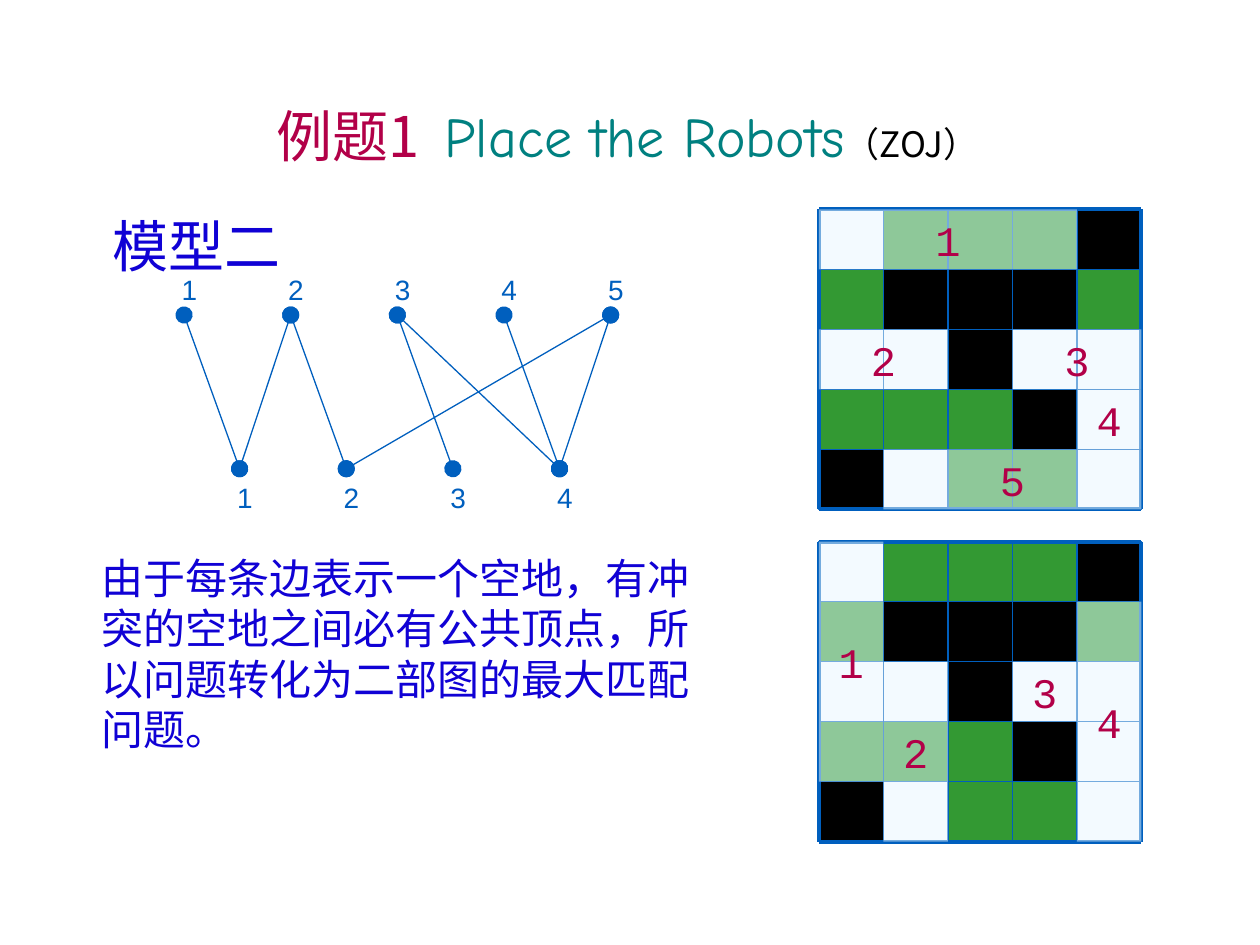
import pptx
import pptx.util
import pptx.dml.color
import pptx.enum.shapes
import pptx.enum.text
import pptx.oxml.ns
from lxml import etree
from pptx.util import Cm

ALIGN = pptx.enum.text.PP_ALIGN
ANCHOR = pptx.enum.text.MSO_ANCHOR
qn = pptx.oxml.ns.qn


def color(value):
    return pptx.dml.color.RGBColor.from_string(value)


class Painter:
    """Holds the style and the current slide."""

    CJK, LATIN, MONO, COMIC = "Noto Sans CJK SC", "Arial", "Courier New", "Comic Neue"
    INK, LINE, ACCENT, TEAL = "1001D5", "005FBE", "B20048", "008080"
    TERRAIN = {"G": "339933", "B": "000000", ".": None}
    VEIL = "E9F7FF"

    def __init__(self, slide):
        self.slide = slide
        self.shapes = slide.shapes

    def start_group(self):
        self.shapes = self.slide.shapes.add_group_shape().shapes

    def fill_text(self, shape, spans, align=ALIGN.LEFT, anchor=ANCHOR.MIDDLE):
        """Fill a shape with one paragraph of (text, size, font, colour) spans."""
        frame = shape.text_frame
        frame.word_wrap = True
        frame.vertical_anchor = anchor
        para = frame.paragraphs[0]
        para.alignment = align
        for text, size, font, tint in spans:
            span = para.add_run()
            span.text = text
            span.font.size = pptx.util.Pt(size)
            span.font.name = font
            span.font.color.rgb = color(tint)
            etree.SubElement(span.font._element, qn("a:ea"), typeface=font)
        return para

    def text(self, left, top, width, height, spans, **layout):
        box = self.shapes.add_textbox(Cm(left), Cm(top), Cm(width), Cm(height))
        return self.fill_text(box, spans, **layout)

    def rectangle(self, left, top, width, height, fill=None, line=None):
        shape = self.shapes.add_shape(
            pptx.enum.shapes.MSO_SHAPE.RECTANGLE, Cm(left), Cm(top), Cm(width), Cm(height))
        shape.shadow.inherit = False
        if fill:
            shape.fill.solid()
            shape.fill.fore_color.rgb = color(fill)
        else:
            shape.fill.background()
        if line:
            shape.line.color.rgb = color(line)
            shape.line.width = pptx.util.Pt(0.75)
        else:
            shape.line.fill.background()
        return shape

    def region(self, left, top, width, height, number):
        """Half-transparent numbered block laid over the cells."""
        shape = self.rectangle(left, top, width, height, fill=self.VEIL)
        tint = shape._element.spPr.find(qn("a:solidFill"))[0]
        etree.SubElement(tint, qn("a:alpha"), val="50000")
        self.fill_text(shape, [(str(number), 24, self.MONO, self.ACCENT)], align=ALIGN.CENTER)

    def line(self, start, end, width, dots=False):
        connector = self.shapes.add_connector(
            pptx.enum.shapes.MSO_CONNECTOR.STRAIGHT, *map(Cm, start + end))
        connector.line.color.rgb = color(self.LINE)
        connector.line.width = pptx.util.Pt(width)
        if dots:
            outline = connector._element.spPr.find(qn("a:ln"))
            for name in ("a:headEnd", "a:tailEnd"):
                etree.SubElement(outline, qn(name), type="oval", w="lg", len="lg")
        etree.SubElement(connector._element.spPr, qn("a:effectLst"))

    def board(self, left, top, cell_width, cell_height, rows, regions):
        """Grid of terrain cells; regions are (column, row, columns, rows, number)."""
        self.start_group()
        for row in reversed(range(len(rows))):
            for column in reversed(range(len(rows[row]))):
                self.rectangle(left + column * cell_width, top + row * cell_height,
                               cell_width, cell_height,
                               self.TERRAIN[rows[row][column]], self.LINE)
        right = left + len(rows[0]) * cell_width
        bottom = top + len(rows) * cell_height
        for y in (top, bottom):
            self.line((left, y), (right, y), 2.25)
        for x in (left, right):
            self.line((x, top), (x, bottom), 2.25)
        for column, row, columns, height, number in regions:
            self.region(left + column * cell_width, top + row * cell_height,
                        columns * cell_width, height * cell_height, number)

    def bipartite_graph(self, upper, lower, step, counts, edges, label_tops):
        """Two rows of numbered dots; upper and lower are the first dots."""
        self.start_group()
        for first, second in edges:
            self.line((upper[0] + (first - 1) * step, upper[1]),
                      (lower[0] + (second - 1) * step, lower[1]), 0.75, dots=True)
        for origin, count, top in zip((upper, lower), counts, label_tops):
            for index in range(count):
                self.text(origin[0] + index * step - 0.3, top, 0.6, 0.76,
                          [(str(index + 1), 16, self.LATIN, self.LINE)])


def main():
    deck = pptx.Presentation()
    deck.slide_width, deck.slide_height = Cm(25.4), Cm(19.05)
    page = Painter(deck.slides.add_slide(deck.slide_layouts[6]))

    # Explanation
    para = page.text(1.8, 11.02, 12.6, 4.32, [
        ("由于每条边表示一个空地，有冲突的空地之间必有公共顶点，所以问题转化为二部图的最大匹配问题。",
         24, page.CJK, page.INK)], anchor=ANCHOR.TOP)
    para.line_spacing = pptx.util.Pt(28.7)

    # Title, with a widened space after the number
    para = page.text(0.79, 1.9, 23.72, 1.63, [
        ("例题1", 32, page.CJK, page.ACCENT),
        (" ", 32, page.CJK, page.ACCENT),
        ("Place the Robots", 32, page.COMIC, page.TEAL),
        ("（ZOJ）", 20, page.CJK, "000000")], align=ALIGN.CENTER)
    para.runs[1].font._element.set("spc", "700")

    # Heading
    para = page.text(2.01, 4.04, 11.66, 1.63,
                     [("模型二", 32, page.CJK, page.INK)], anchor=ANCHOR.TOP)
    para.line_spacing = pptx.util.Pt(41)

    # Boards: vertical runs below, horizontal runs above
    terrain = [".GGGB", "GBBBG", "..B..", "GGGB.", "B.GG."]
    vertical = [(0, 0, 1, 4, 1), (1, 2, 1, 3, 2), (3, 2, 1, 1, 3), (4, 1, 1, 4, 4)]
    horizontal = [(0, 0, 4, 1, 1), (0, 2, 2, 1, 2), (3, 2, 2, 1, 3),
                  (1, 4, 4, 1, 5), (4, 3, 1, 1, 4)]
    for top, regions in ((10.92, vertical), (4.22, horizontal)):
        page.board(16.51, top, 1.3, 1.21, terrain, regions)

    # Bipartite graph of horizontal and vertical runs
    page.bipartite_graph(
        upper=(3.71, 6.35), lower=(4.83, 9.45), step=2.15, counts=(5, 4),
        edges=[(1, 1), (2, 1), (2, 2), (3, 3), (4, 4), (3, 4), (5, 2), (5, 4)],
        label_tops=(5.46, 9.65))

    deck.save("out.pptx")


if __name__ == "__main__":
    main()
